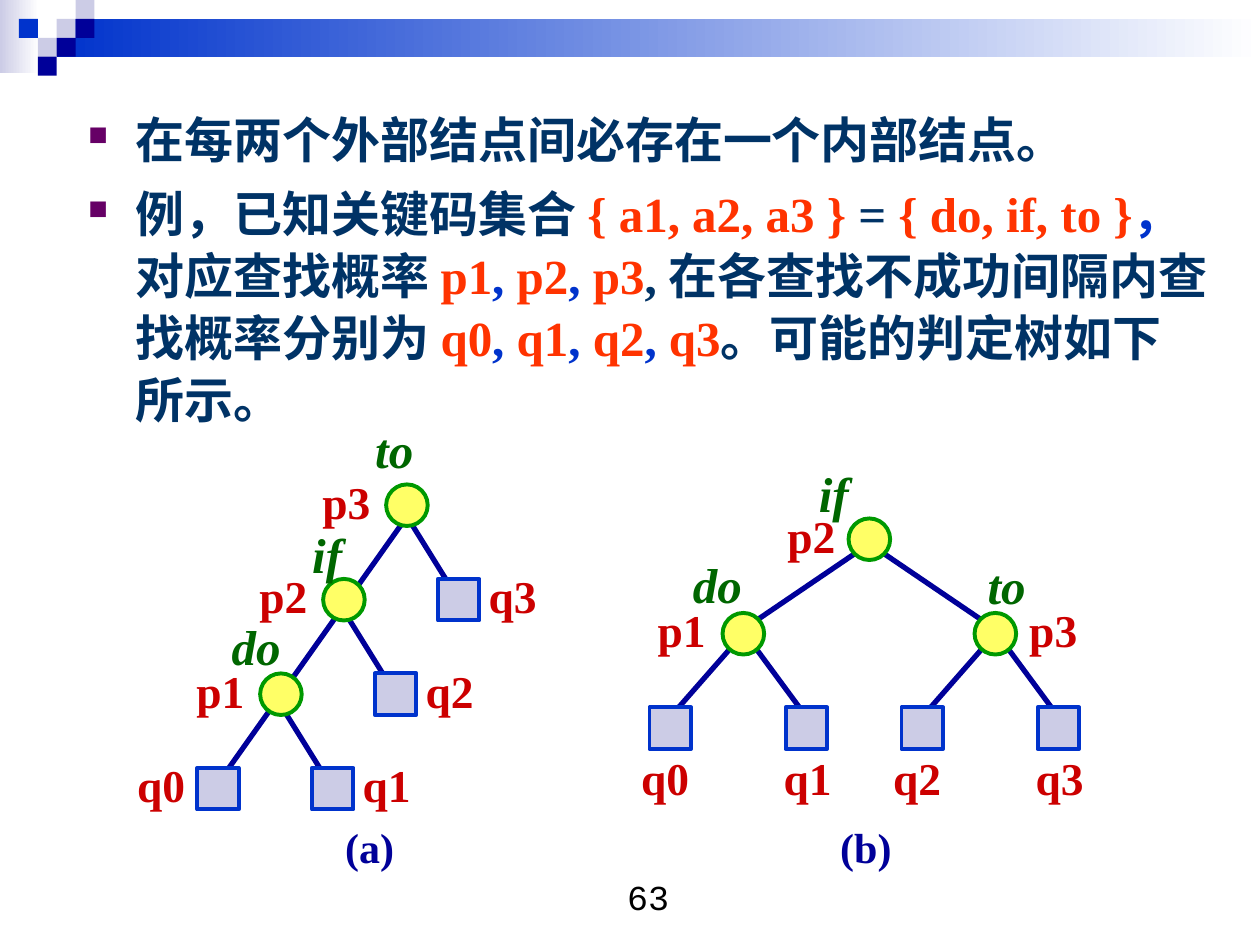
from dataclasses import dataclass

from lxml.etree import SubElement
from pptx import Presentation
from pptx.dml.color import RGBColor
from pptx.enum.shapes import MSO_CONNECTOR, MSO_SHAPE
from pptx.enum.text import PP_ALIGN
from pptx.oxml.ns import qn
from pptx.util import Inches, Pt


@dataclass(frozen=True)
class Theme:
    serif: str = "Times New Roman"
    mono: str = "Courier New"
    body: str = "003366"
    accent: str = "FF3300"
    blue: str = "0033CC"
    navy: str = "000099"
    lilac: str = "CCCCE6"
    white: str = "FFFFFF"
    bullet: str = "660066"
    yellow: str = "FFFF66"
    green: str = "009900"
    key: str = "006600"
    weight: str = "CC0000"
    black: str = "000000"
    body_size: int = 28
    weight_size: int = 26
    caption_size: int = 24
    number_size: int = 20


THEME = Theme()
NODE = 0.33
LEVEL = 0.75
CELL = 0.15
KEY = dict(name=THEME.serif, size=THEME.body_size, color=THEME.key, bold=True, italic=True)
WEIGHT = dict(name=THEME.serif, size=THEME.weight_size, color=THEME.weight, bold=True)
CAPTION = dict(name=THEME.serif, size=THEME.caption_size, color=THEME.navy, bold=True)
NUMBER = dict(name=THEME.mono, size=THEME.number_size, color=THEME.black)


def format_font(font, values):
    for name, value in values.items():
        if name == "color":
            font.color.rgb = RGBColor.from_string(value)
        else:
            setattr(font, name, Pt(value) if name == "size" else value)


def add_label(page, text, box, values, wrap=False, align=PP_ALIGN.LEFT):
    frame = page.shapes.add_textbox(*map(Inches, box)).text_frame
    frame.word_wrap = wrap
    para = frame.paragraphs[0]
    para.alignment = align
    span = para.add_run()
    span.text = text
    format_font(span.font, values)


def add_block(page, preset, box, fill, line=None):
    """Add a preset shape; a pair of fill colours makes a left-to-right gradient."""
    shape = page.shapes.add_shape(preset, *map(Inches, box))
    shape.shadow.inherit = False
    if isinstance(fill, tuple):
        shape.fill.gradient()
        shape.fill.gradient_angle = 0
        for stop, color in zip(shape.fill.gradient_stops, fill):
            stop.color.rgb = RGBColor.from_string(color)
    else:
        shape.fill.solid()
        shape.fill.fore_color.rgb = RGBColor.from_string(fill)
    if line:
        shape.line.color.rgb = RGBColor.from_string(line)
        shape.line.width = Pt(2.25)
    else:
        shape.line.fill.background()


def add_edge(page, start, end):
    edge = page.shapes.add_connector(MSO_CONNECTOR.STRAIGHT, *map(Inches, (*start, *end)))
    edge.line.color.rgb = RGBColor.from_string(THEME.navy)
    edge.line.width = Pt(3)
    SubElement(edge._element.spPr, qn("a:effectLst"))


def node_box(center):
    return center[0] - NODE / 2, center[1] - NODE / 2, NODE, NODE


def add_inner(page, center):
    add_block(page, MSO_SHAPE.OVAL, node_box(center), THEME.yellow, THEME.green)


def add_leaf(page, center):
    add_block(page, MSO_SHAPE.RECTANGLE, node_box(center), THEME.lilac, THEME.blue)


def add_key(page, text, center, dx, dy):
    width = {"do": 0.59, "if": 0.44, "to": 0.5}[text]
    add_label(page, text, (center[0] + dx, center[1] + dy, width, 0.57), KEY)


def add_weight(page, text, center, dx, dy=-0.3):
    add_label(page, text, (center[0] + dx, center[1] + dy, 0.58, 0.54), WEIGHT)


def place_header(page, box):
    left, top, width, height = box
    bars = (
        ((left, top, 0.31, height), THEME.lilac),
        ((left + 3 * CELL, top + CELL, width - 3 * CELL, 2 * CELL), THEME.blue),
    )
    for bar, color in bars:
        add_block(page, MSO_SHAPE.RECTANGLE, bar, (color, THEME.white))
    cells = {
        THEME.lilac: ((3, 1), (4, 0), (2, 2)),
        THEME.navy: ((4, 1), (3, 2), (2, 3)),
        THEME.blue: ((1, 1),),
    }
    for color, spots in cells.items():
        for column, row in spots:
            cell = (left + column * CELL, top + row * CELL, CELL, CELL)
            add_block(page, MSO_SHAPE.RECTANGLE, cell, color)


def add_bullet(para):
    properties = para._p.get_or_add_pPr()
    properties.set("marL", str(Inches(0.38)))
    properties.set("indent", str(-Inches(0.38)))
    color = SubElement(properties, qn("a:buClr"))
    SubElement(color, qn("a:srgbClr"), val=THEME.bullet)
    SubElement(properties, qn("a:buSzPct"), val="55000")
    SubElement(properties, qn("a:buChar"), char="■")


def series(names):
    """Return accented names with blue commas between them."""
    spans = []
    for name in names:
        spans += [(", ", THEME.blue), (name, THEME.accent)]
    return spans[1:]


def place_body(page, box):
    paragraphs = (
        [("在每两个外部结点间必存在一个内部结点。", THEME.body)],
        [
            ("例，已知关键码集合 ", THEME.body),
            ("{ a1, a2, a3 } ", THEME.accent),
            ("= ", THEME.body),
            ("{ do, if, to }", THEME.accent),
            ("，", THEME.blue),
            ("对应查找概率 ", THEME.body),
            *series(("p1", "p2", "p3")),
            (", 在各查找不成功间隔内查找概率分别为 ", THEME.body),
            *series(("q0", "q1", "q2", "q3")),
            ("。可能的判定树如下所示。", THEME.body),
        ],
    )
    frame = page.shapes.add_textbox(*map(Inches, box)).text_frame
    frame.word_wrap = True
    for index, spans in enumerate(paragraphs):
        para = frame.add_paragraph() if index else frame.paragraphs[0]
        add_bullet(para)
        para.line_spacing = 1.05
        para.space_before = Pt(7 if index else 0)
        for text, color in spans:
            span = para.add_run()
            span.text = text
            format_font(span.font, dict(name=THEME.serif, size=THEME.body_size, color=color, bold=True))


def place_chain_tree(page, box):
    """Draw tree (a), whose inner nodes step down to the left."""
    left, top, width, height = box
    inner = [(left + 2.24 - 0.5 * level, top + 0.73 + LEVEL * level) for level in range(4)]
    right = [(x + 0.41, y + LEVEL) for x, y in inner[:3]]
    last = inner.pop()
    for parent, leaf in zip(inner, right):
        add_edge(page, (parent[0], parent[1] + 0.09), leaf)
    add_edge(page, (inner[0][0], inner[0][1] + 0.09), (last[0] - 0.08, last[1] + 0.07))
    key_offsets = (("to", -0.35, -0.73), ("if", -0.35, -0.65), ("do", -0.49, -0.67))
    for rank, center, leaf, key in zip((3, 2, 1), inner, right, key_offsets):
        add_inner(page, center)
        add_leaf(page, leaf)
        add_key(page, key[0], center, *key[1:])
        add_weight(page, f"p{rank}", center, -0.77)
        add_weight(page, f"q{rank}", leaf, 0.14)
    add_leaf(page, last)
    add_weight(page, "q0", last, -0.74)
    add_label(page, "(a)", (left + 1.65, top + height - 0.5, 0.59, 0.5), CAPTION)


def place_balanced_tree(page, box):
    """Draw tree (b), with one root, two children and four leaves."""
    left, top, width, height = box
    root = (left + 1.91, top + 0.65)
    children = [(root[0] + side, root[1] + LEVEL) for side in (-1, 1)]
    leaves = [(x + step, y + LEVEL) for x, y in children for step in (-0.58, 0.5)]
    links = [(root, child, 0.08) for child in children]
    links += [(children[index // 2], leaf, 0) for index, leaf in enumerate(leaves)]
    for parent, child, inset in links:
        side = 1 if child[0] > parent[0] else -1
        start = (parent[0] + side * 0.08, parent[1] + 0.09)
        add_edge(page, start, (child[0] - side * inset, child[1] - 0.09))
    inner = (
        (children[0], "do", -0.5, -0.68, "p1", -0.78),
        (root, "if", -0.5, -0.65, "p2", -0.75),
        (children[1], "to", -0.16, -0.67, "p3", 0.17),
    )
    for center, key, dx, dy, weight, weight_dx in inner:
        add_inner(page, center)
        add_key(page, key, center, dx, dy)
        add_weight(page, weight, center, weight_dx)
    for index, leaf in enumerate(leaves):
        add_leaf(page, leaf)
        add_weight(page, f"q{index}", leaf, -0.28 if index % 2 else -0.33, 0.12)
    add_label(page, "(b)", (left + 1.58, top + height - 0.5, 0.61, 0.5), CAPTION)


def main():
    deck = Presentation()
    deck.slide_width, deck.slide_height = Inches(10), Inches(7.5)
    page = deck.slides.add_slide(deck.slide_layouts[6])
    place_header(page, (0, 0, 10, 0.58))
    place_body(page, (0.6, 0.8, 9.08, 2.72))
    place_chain_tree(page, (0.99, 3.28, 3.38, 3.69))
    place_balanced_tree(page, (4.99, 3.63, 3.71, 3.34))
    add_label(page, "63", (3.98, 6.9, 2.33, 0.52), NUMBER, wrap=True, align=PP_ALIGN.CENTER)
    deck.save("out.pptx")


if __name__ == "__main__":
    main()
